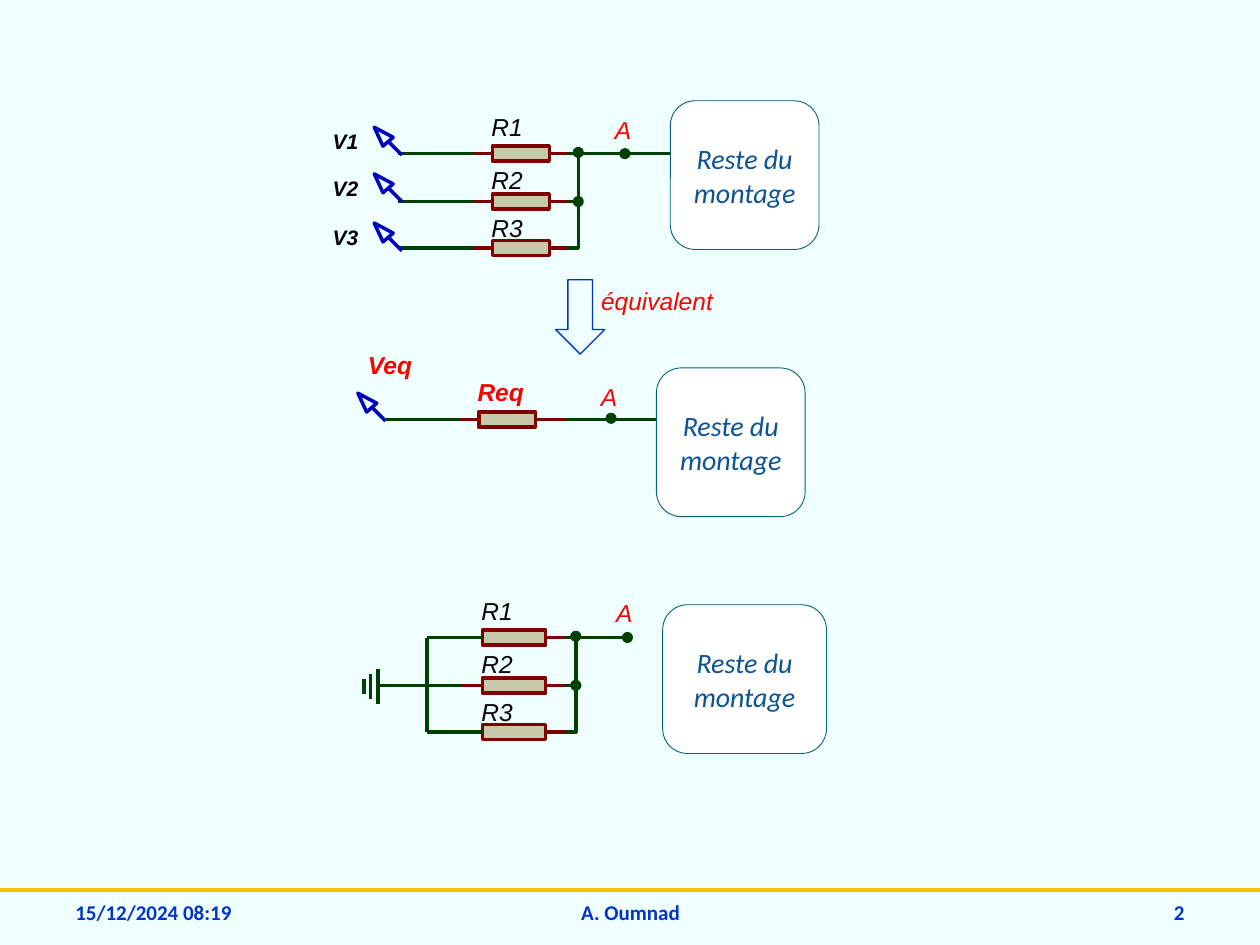
"""Build the slide that reduces parallel resistor branches to one equivalent branch."""
from dataclasses import dataclass

from lxml import etree
from pptx import Presentation
from pptx.dml.color import RGBColor
from pptx.enum.shapes import MSO_CONNECTOR, MSO_SHAPE
from pptx.enum.text import MSO_ANCHOR, MSO_AUTO_SIZE, PP_ALIGN
from pptx.oxml.ns import qn
from pptx.util import Inches, Pt

STRAIGHT = MSO_CONNECTOR.STRAIGHT
RECTANGLE, ROUNDED = MSO_SHAPE.RECTANGLE, MSO_SHAPE.ROUNDED_RECTANGLE
OVAL, DOWN_ARROW = MSO_SHAPE.OVAL, MSO_SHAPE.DOWN_ARROW
TOP, MIDDLE = MSO_ANCHOR.TOP, MSO_ANCHOR.MIDDLE
LEFT, CENTER, RIGHT = PP_ALIGN.LEFT, PP_ALIGN.CENTER, PP_ALIGN.RIGHT
FIT_SHAPE = MSO_AUTO_SIZE.SHAPE_TO_FIT_TEXT


@dataclass(frozen=True)
class Theme:
    background: str = "F0FFFF"
    wire: str = "004000"
    lead: str = "800000"
    resistor: str = "C8C8AA"
    antenna: str = "0000C0"
    box_fill: str = "FFFFFF"
    box_line: str = "04617B"
    arrow: str = "0033CC"
    rule: str = "FFC000"
    stroke: float = 2
    rule_stroke: float = 2.25
    box_stroke: float = 0.5
    arrow_stroke: float = 0.75
    name: tuple = ("Arial", 14, "000000", False, True)
    source: tuple = ("Arial", 12, "000000", True, True)
    node: tuple = ("Arial", 14, "FF0000", False, True)
    result: tuple = ("Arial", 14, "FF0000", True, True)
    box: tuple = ("Calibri", 16, "0B5394", False, True)
    footer: tuple = ("Calibri", 12, "0033CC", True, False)


def paint(shape, fill, line, width):
    shape.shadow.inherit = False
    if fill:
        shape.fill.solid()
        shape.fill.fore_color.rgb = RGBColor.from_string(fill)
    else:
        shape.fill.background()
    shape.line.color.rgb = RGBColor.from_string(line)
    shape.line.width = Pt(width)


def write(shape, text, style, align, anchor):
    frame = shape.text_frame
    frame.word_wrap = True
    frame.vertical_anchor = anchor
    para = frame.paragraphs[0]
    para.text = text
    para.alignment = align
    font = para.font
    font.name, size, color, font.bold, font.italic = style
    font.size = Pt(size)
    font.color.rgb = RGBColor.from_string(color)


theme = Theme()
deck = Presentation()
deck.slide_width, deck.slide_height = Inches(10), Inches(7.5)
page = deck.slides.add_slide(deck.slide_layouts[6])
page.background.fill.solid()
page.background.fill.fore_color.rgb = RGBColor.from_string(theme.background)
shapes = page.shapes

footers = [
    (0.5, 2.33, "15/12/2024 08:19", LEFT),
    (3.42, 3.17, "A. Oumnad", CENTER),
    (7.17, 2.33, "2", RIGHT),
]
for left, width, text, align in footers:
    box = shapes.add_textbox(Inches(left), Inches(7.08), Inches(width), Inches(0.32))
    write(box, text, theme.footer, align, MIDDLE)

drop = 3.84
rows = [("R1", 1.22, 0.89), ("R2", 1.6, 1.31), ("R3", 1.97, 1.69)]
resistors = [(3.91, 0.45, y, 3.76, 4.51) for _, y, _ in rows]
resistors += [(3.8, 0.45, 3.33, 3.65, 4.49)]
resistors += [(3.83, 0.5, y + drop, 3.66, 4.49) for _, y, _ in rows]

wires = [
    (5.32, 1.22, 4.51, 1.22),
    (4.51, 1.6, 4.59, 1.6),
    (4.59, 1.6, 4.59, 1.22),
    (5.21, 3.33, 4.48, 3.33),
    (3.65, 3.33, 3.06, 3.33),
    (5.02, 5.06, 4.49, 5.06),
    (4.49, 5.44, 4.57, 5.44),
    (4.57, 5.44, 4.57, 5.06),
    (3.83, 5.06, 3.39, 5.06),
    (3.66, 5.44, 3, 5.44),
    (3.83, 5.81, 3.39, 5.81),
    (3.39, 5.81, 3.39, 5.06),
    (3, 5.31, 3, 5.59),
    (2.94, 5.35, 2.94, 5.55),
    (2.89, 5.39, 2.89, 5.51),
]
wires += [(3.76, y, 3.16, y) for _, y, _ in rows]
lines = [(0, 7.06, 10, 7.06, theme.rule, theme.rule_stroke, None, None)]
lines += [(*ends, theme.wire, theme.stroke, None, None) for ends in wires]

for left, width, y, lead_left, lead_right in resistors:
    resistor = shapes.add_shape(
        RECTANGLE, Inches(left), Inches(y - 0.06), Inches(width), Inches(0.12))
    paint(resistor, theme.resistor, theme.lead, theme.stroke)
    lines.append((lead_right, y, left + width, y, theme.lead, theme.stroke, resistor, 3))
    if y not in (rows[0][1] + drop, rows[2][1] + drop):
        lines.append((lead_left, y, left, y, theme.lead, theme.stroke, resistor, 1))

antennas = [(2.97, 1.01), (2.97, 1.38), (2.97, 1.77), (2.84, 3.12)]
outlines = [
    ([(4.51, 1.97), (4.59, 1.97), (4.59, 1.6)], False, theme.wire),
    ([(4.49, 5.81), (4.57, 5.81), (4.57, 5.44)], False, theme.wire),
]
for x, y in antennas:
    outlines.append(([(x, y), (x + 0.15, y + 0.08), (x + 0.07, y + 0.15)], True, theme.antenna))
    lines.append((x + 0.12, y + 0.12, x + 0.22, y + 0.22,
                  theme.antenna, theme.stroke, None, None))

for points, closed, color in outlines:
    corners = [(Inches(x), Inches(y)) for x, y in points]
    builder = shapes.build_freeform(*corners[0])
    builder.add_line_segments(corners[1:], close=closed)
    paint(builder.convert_to_shape(), None, color, theme.stroke)

for x1, y1, x2, y2, color, width, resistor, side in lines:
    line = shapes.add_connector(STRAIGHT, Inches(x1), Inches(y1), Inches(x2), Inches(y2))
    line.line.color.rgb = RGBColor.from_string(color)
    line.line.width = Pt(width)
    etree.SubElement(line._element.spPr, qn("a:effectLst"))
    if resistor is not None:
        line.end_connect(resistor, side)

nodes = [(4.56, 1.18), (4.56, 1.57), (4.93, 1.19), (4.82, 3.29),
         (4.54, 5.02), (4.54, 5.41), (4.95, 5.03)]
for x, y in nodes:
    node = shapes.add_shape(OVAL, Inches(x), Inches(y), Inches(0.06), Inches(0.06))
    paint(node, theme.wire, theme.wire, theme.stroke)

for left, top, width in [(5.32, 0.8, 1.18), (5.21, 2.92, 1.18), (5.26, 4.8, 1.3)]:
    box = shapes.add_shape(ROUNDED, Inches(left), Inches(top), Inches(width), Inches(1.18))
    paint(box, theme.box_fill, theme.box_line, theme.box_stroke)
    write(box, "Reste du montage", theme.box, CENTER, MIDDLE)

arrow = shapes.add_shape(DOWN_ARROW, Inches(4.41), Inches(2.22), Inches(0.39), Inches(0.59))
paint(arrow, None, theme.arrow, theme.arrow_stroke)

labels = [
    ("V1", 2.64, 1.02, 0.21, 0.2, theme.source),
    ("V2", 2.64, 1.39, 0.21, 0.2, theme.source),
    ("V3", 2.64, 1.78, 0.21, 0.2, theme.source),
    ("A", 4.88, 0.91, 0.13, 0.24, theme.node),
    ("A", 4.77, 3.03, 0.13, 0.24, theme.node),
    ("A", 4.89, 4.75, 0.13, 0.24, theme.node),
    ("Req", 3.79, 2.99, 0.37, 0.24, theme.result),
    ("Veq", 2.92, 2.78, 0.35, 0.24, theme.result),
    ("équivalent", 4.77, 2.27, 0.89, 0.24, theme.node),
]
for name, _, top in rows:
    labels.append((name, 3.9, top, 0.25, 0.24, theme.name))
    labels.append((name, 3.82, top + drop, 0.25, 0.24, theme.name))
for text, left, top, width, height, style in labels:
    label = shapes.add_textbox(Inches(left), Inches(top), Inches(width), Inches(height))
    write(label, text, style, LEFT, TOP)
    frame = label.text_frame
    frame.margin_left = frame.margin_top = frame.margin_right = frame.margin_bottom = 0
    frame.word_wrap = False
    frame.auto_size = FIT_SHAPE

deck.save("out.pptx")
